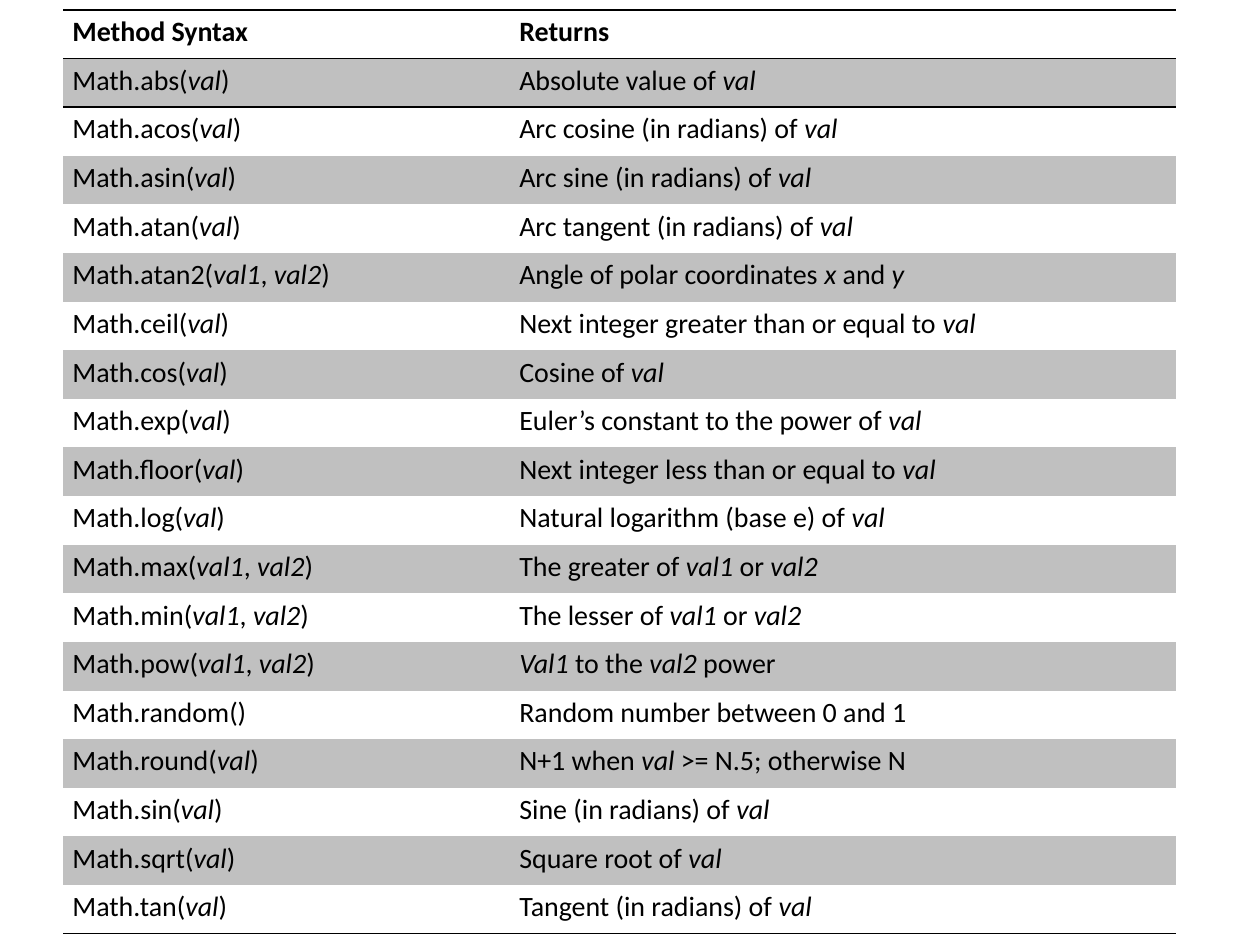
from lxml.etree import SubElement
from pptx import Presentation
from pptx.dml.color import RGBColor
from pptx.enum.text import MSO_ANCHOR
from pptx.oxml.ns import qn
from pptx.util import Cm, Pt

# Words between asterisks are italic.
HEAD = ("Method Syntax", "Returns")
ROWS = [
    ("Math.abs(*val*)", "Absolute value of *val*"),
    ("Math.acos(*val*)", "Arc cosine (in radians) of *val*"),
    ("Math.asin(*val*)", "Arc sine (in radians) of *val*"),
    ("Math.atan(*val*)", "Arc tangent (in radians) of *val*"),
    ("Math.atan2(*val1*, *val2*)", "Angle of polar coordinates *x *and *y*"),
    ("Math.ceil(*val*)", "Next integer greater than or equal to *val*"),
    ("Math.cos(*val*)", "Cosine of *val*"),
    ("Math.exp(*val*)", "Euler’s constant to the power of *val*"),
    ("Math.floor(*val*)", "Next integer less than or equal to *val*"),
    ("Math.log(*val*)", "Natural logarithm (base e) of *val*"),
    ("Math.max(*val1*, *val2*)", "The greater of *val1 *or *val2*"),
    ("Math.min(*val1*, *val2*)", "The lesser of *val1 *or *val2*"),
    ("Math.pow(*val1*, *val2*)", "*Val1 *to the *val2 *power"),
    ("Math.random()", "Random number between 0 and 1"),
    ("Math.round(*val*)", "N+1 when *val *>= N.5; otherwise N"),
    ("Math.sin(*val*)", "Sine (in radians) of *val*"),
    ("Math.sqrt(*val*)", "Square root of *val*"),
    ("Math.tan(*val*)", "Tangent (in radians) of *val*"),
]

THEME = {
    "font": "Calibri", "size": Pt(16), "ink": "000000", "band": "C0C0C0",
    "rule": Pt(1), "plain": "{2D5ABB26-0587-4C30-8999-92F81FD0307C}",
}
LEFT, TOP, TALL = Cm(1.27), Cm(0.2), Cm(0.98)
WIDTHS = (Cm(9.01), Cm(13.43))
INSET = Cm(0.19)


def write(cell, text, bold=False, spacing=1.15):
    """Fill a cell with text, switching italics at each asterisk."""
    cell.margin_left = cell.margin_right = INSET
    cell.margin_top = cell.margin_bottom = 0
    cell.vertical_anchor = MSO_ANCHOR.TOP
    para = cell.text_frame.paragraphs[0]
    para.line_spacing = spacing
    for i, part in enumerate(text.split("*")):
        if part:
            run = para.add_run()
            run.text = part
            font = run.font
            font.name, font.size = THEME["font"], THEME["size"]
            font.bold, font.italic = bold, i % 2 == 1
            font.color.rgb = RGBColor.from_string(THEME["ink"])


def rule(cell, side):
    """Draw a line on the top (T) or bottom (B) of a cell, before its fill is set."""
    props = cell._tc.get_or_add_tcPr()
    line = SubElement(props, qn(f"a:ln{side}"), w=str(THEME["rule"]))
    fill = SubElement(line, qn("a:solidFill"))
    SubElement(fill, qn("a:srgbClr"), val=THEME["ink"])


def shade(cell, band):
    if band:
        cell.fill.solid()
        cell.fill.fore_color.rgb = RGBColor.from_string(THEME["band"])
    else:
        cell.fill.background()


def build(slide):
    data = [HEAD, *ROWS]
    last = len(data) - 1
    frame = slide.shapes.add_table(
        len(data), len(HEAD), LEFT, TOP, sum(WIDTHS), TALL * len(data))
    table = frame.table
    table.first_row = table.horz_banding = False
    next(frame.element.iter(qn("a:tableStyleId"))).text = THEME["plain"]
    for col, width in zip(table.columns, WIDTHS):
        col.width = width
    for r, texts in enumerate(data):
        table.rows[r].height = TALL
        sides = {0: "TB", 1: "T", last: "B"}.get(r, "")
        for c, text in enumerate(texts):
            cell = table.cell(r, c)
            write(cell, text, bold=r == 0)
            for side in sides:
                rule(cell, side)
            shade(cell, r % 2 == 1)


def main():
    deck = Presentation()
    deck.slide_width, deck.slide_height = Cm(25.4), Cm(19.05)
    build(deck.slides.add_slide(deck.slide_layouts[6]))
    deck.save("out.pptx")


if __name__ == "__main__":
    main()
